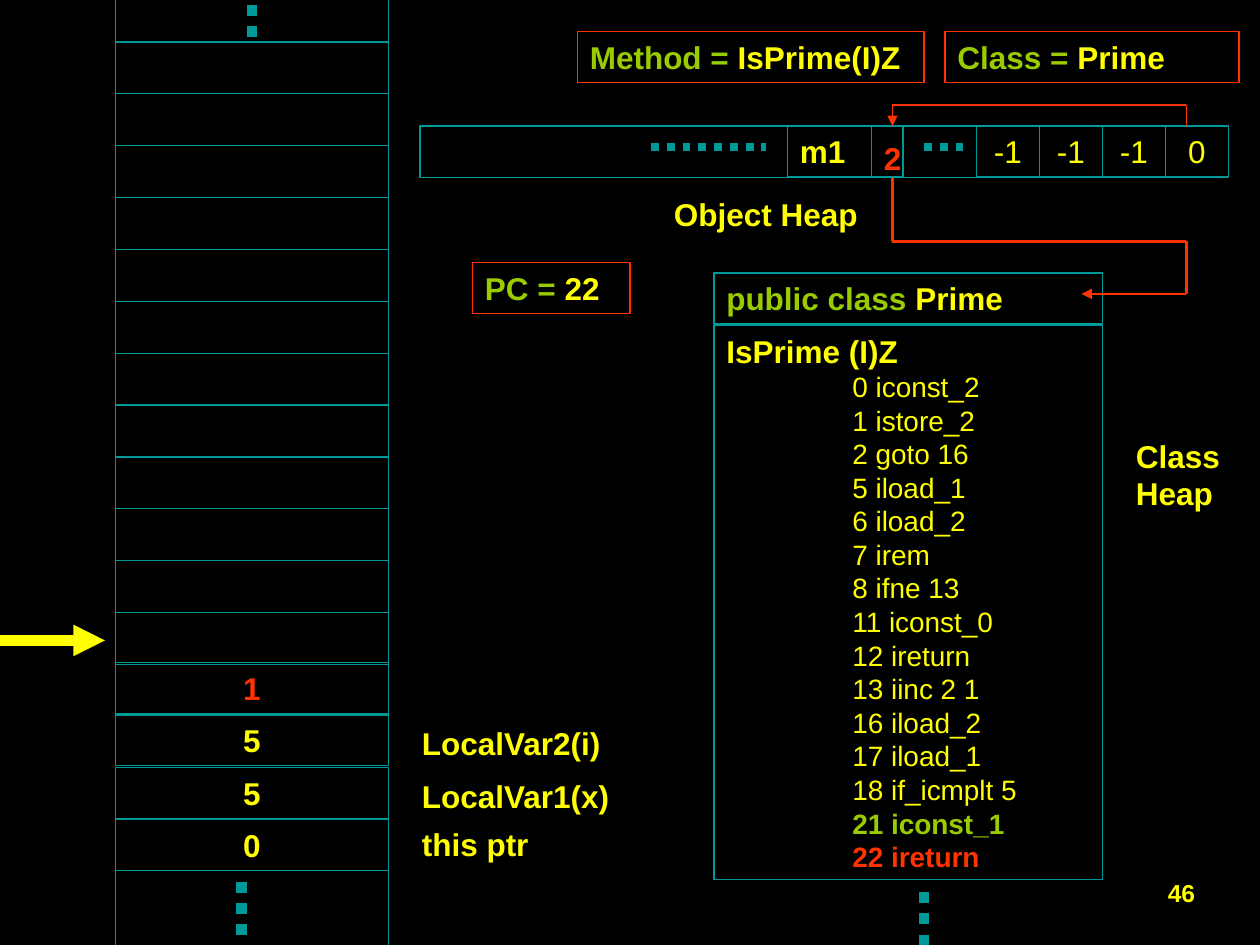
from lxml.etree import SubElement
from pptx import Presentation
from pptx.dml.color import RGBColor
from pptx.enum.dml import MSO_LINE
from pptx.enum.shapes import MSO_CONNECTOR, MSO_SHAPE
from pptx.enum.text import MSO_ANCHOR, PP_ALIGN
from pptx.oxml.ns import qn
from pptx.util import Inches, Pt

TEAL = RGBColor(0x00, 0x99, 0x99)
YELLOW = RGBColor(0xFF, 0xFF, 0x00)
RED = RGBColor(0xFF, 0x33, 0x00)
GREEN = RGBColor(0x99, 0xCC, 0x00)
BLACK = RGBColor(0x00, 0x00, 0x00)

deck = Presentation()
deck.slide_width = Inches(10)
deck.slide_height = Inches(7.5)
COL = deck.slide_width / 120
ROW = deck.slide_height / 90
slide = deck.slides.add_slide(deck.slide_layouts[6])
slide.background.fill.solid()
slide.background.fill.fore_color.rgb = BLACK


def frame(x, y, w, h, line=None):
    place = int(x * COL), int(y * ROW), int(w * COL), int(h * ROW)
    if line is None:
        box = slide.shapes.add_textbox(*place)
    else:
        box = slide.shapes.add_shape(MSO_SHAPE.RECTANGLE, *place)
        box.shadow.inherit = False
        box.fill.background()
        box.line.color.rgb = line
        box.line.width = Pt(0.75)
    box.text_frame.word_wrap = True
    box.text_frame.vertical_anchor = MSO_ANCHOR.TOP
    return box


def say(box, text, color=YELLOW, size=18, bold=True, align=PP_ALIGN.LEFT, indent=0):
    body = box.text_frame
    para = body.add_paragraph() if indent else body.paragraphs[-1]
    para.alignment = align
    if indent:
        para._p.get_or_add_pPr().set("marL", str(int(indent * COL)))
    run = para.add_run()
    run.text = text
    run.font.name = "Arial"
    run.font.size = Pt(size)
    run.font.bold = bold
    run.font.color.rgb = color


for i in range(12):
    frame(11, 4 + 4.94 * i, 26, 4.94, TEAL)
for i, text in enumerate(["1", "5", "5", "0"]):
    cell = frame(11, 63.1 + 4.99 * i, 26, 4.85, TEAL)
    say(cell, text, YELLOW if i else RED, align=PP_ALIGN.CENTER)

frame(40, 12, 53, 4.94, TEAL)
for i, text in enumerate(["-1", "-1", "-1", "0"]):
    cell = frame(93 + 6 * i, 12, 6, 4.85, TEAL)
    say(cell, text, bold=False, align=PP_ALIGN.CENTER)
say(frame(75, 12, 8, 4.85, TEAL), "m1")
mark = frame(83, 12, 3, 4.85, TEAL)
mark.text_frame.margin_top = Inches(0.1)
mark.text_frame.margin_right = 0
say(mark, "2", RED)

pairs = [
    (68, 26, 37, TEAL, "public class", " Prime"),
    (45, 25, 15, RED, "PC =", " 22"),
    (55, 3, 33, RED, "Method =", " IsPrime(I)Z"),
    (90, 3, 28, RED, "Class =", " Prime"),
]
for x, y, w, line, key, value in pairs:
    box = frame(x, y, w, 4.85, line)
    say(box, key, GREEN)
    say(box, value)

code = frame(68, 31, 37, 52.8, TEAL)
say(code, "IsPrime (I)Z")
steps = [
    "0 iconst_2", "1 istore_2", "2 goto 16", "5 iload_1", "6 iload_2",
    "7 irem", "8 ifne 13", "11 iconst_0", "12 ireturn", "13 iinc 2 1",
    "16 iload_2", "17 iload_1", "18 if_icmplt 5", "21 iconst_1", "22 ireturn",
]
accents = {"21 iconst_1": GREEN, "22 ireturn": RED}
for step in steps:
    say(code, step, accents.get(step, YELLOW), 16, step in accents, indent=12)

labels = [
    (39, 68.4, 21, 4.85, "LocalVar2(i)"),
    (39, 73.4, 21, 4.85, "LocalVar1(x)"),
    (39, 78, 14, 4.85, "this ptr"),
    (63, 18, 20, 4.85, "Object Heap"),
    (107, 41, 13, 8.4, "Class Heap"),
]
for x, y, w, h, text in labels:
    say(frame(x, y, w, h), text)
say(frame(109, 83, 6, 4.2), "46", size=14, align=PP_ALIGN.RIGHT)

lines = [
    (11, 82, 11, 90, TEAL, 0.75, ""),
    (37, 82, 37, 90, TEAL, 0.75, ""),
    (37, 0, 37, 8, TEAL, 0.75, ""),
    (11, 0, 11, 8, TEAL, 0.75, ""),
    (23, 84, 23, 90, TEAL, 6, "dots"),
    (24, -1.5, 24, 4.5, TEAL, 6, "dots"),
    (88, 85, 88, 91, TEAL, 6, "dots"),
    (88, 14, 92, 14, TEAL, 4.5, "dots"),
    (62, 14, 73, 14, TEAL, 4.5, "dots"),
    (85, 17, 85, 23, RED, 1.5, ""),
    (85, 23, 113, 23, RED, 1.5, ""),
    (113, 23, 113, 28, RED, 1.5, ""),
    (113, 28, 103, 28, RED, 1.5, "arrow"),
    (113, 12, 113, 10, RED, 0.75, ""),
    (85, 10, 113, 10, RED, 1.5, ""),
    (85, 10, 85, 12, RED, 0.75, "arrow"),
    (0, 61, 10, 61, YELLOW, 6, "arrow"),
]
for x, y, right, low, color, width, kind in lines:
    link = slide.shapes.add_connector(
        MSO_CONNECTOR.STRAIGHT, int(x * COL), int(y * ROW), int(right * COL), int(low * ROW)
    )
    link.line.color.rgb = color
    link.line.width = Pt(width)
    if kind == "dots":
        link.line.dash_style = MSO_LINE.ROUND_DOT
    if kind == "arrow":
        SubElement(link.line._get_or_add_ln(), qn("a:tailEnd"), type="triangle")
    SubElement(link._element.spPr, qn("a:effectLst"))

deck.save("out.pptx")
